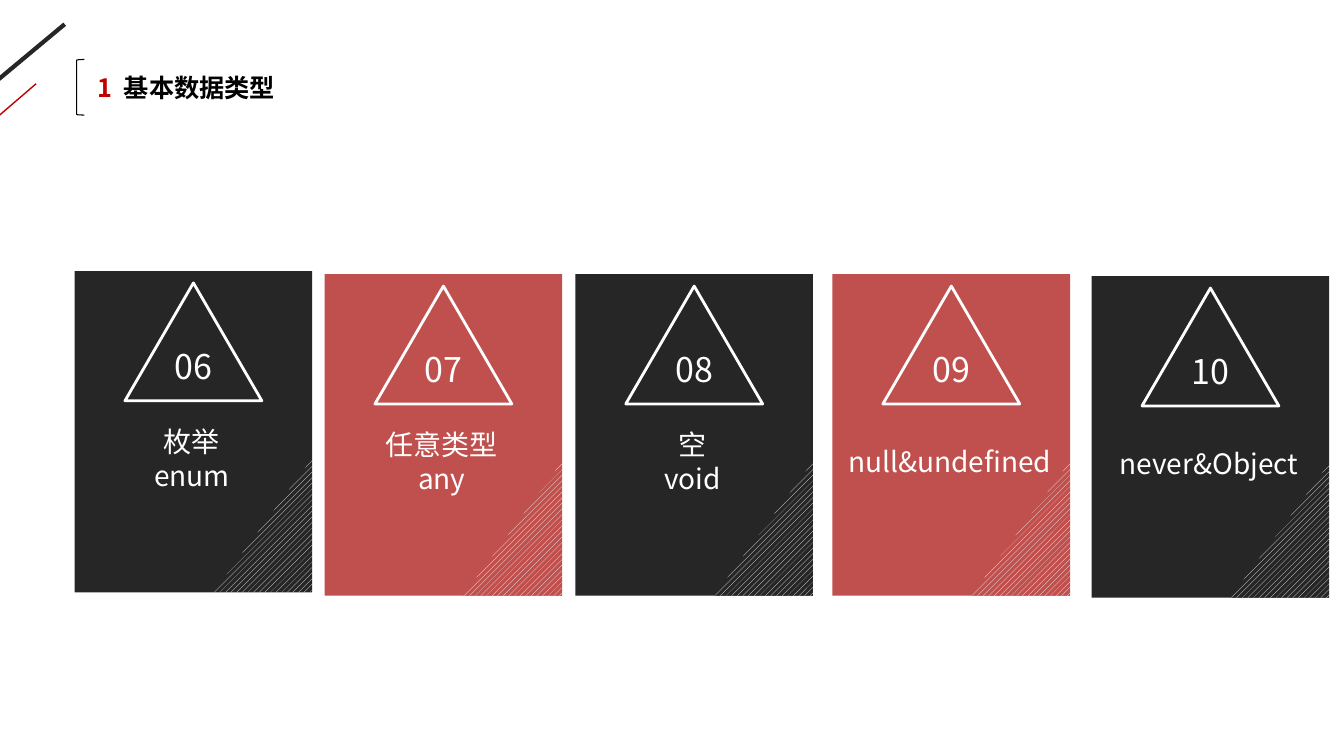
from dataclasses import dataclass

from lxml import etree
from pptx import Presentation
from pptx import util as u
from pptx.dml.color import RGBColor
from pptx.enum import dml, shapes, text
from pptx.oxml.ns import qn

FONT = "Noto Sans CJK SC"
DARK, CORAL, RED, WHITE, BLACK = "262626", "C0504D", "C00000", "FFFFFF", "000000"

# Card measures in cm; part offsets are relative to the card corner
CARD_WIDTH, CARD_HEIGHT = 5.99, 8.1
HATCH_WIDTH, HATCH_HEIGHT = 2.49, 3.38
TRIANGLE_WIDTH, TRIANGLE_HEIGHT, TRIANGLE_DROP = 3.45, 2.97, 0.3
LABEL_SHIFT, LABEL_DROP, LABEL_HEIGHT = -0.04, 3.61, 2.21


@dataclass
class Card:
    number: str
    lines: list[str]
    left: float
    top: float
    color: str


@dataclass
class Stroke:
    start: tuple[float, float]
    end: tuple[float, float]
    color: str
    width: float


CARDS = [
    Card("06", ["枚举", "enum"], 1.88, 6.83, DARK),
    Card("07", ["任意类型", "any"], 8.18, 6.91, CORAL),
    Card("08", ["空", "void"], 14.5, 6.91, DARK),
    Card("09", ["null&undefined"], 20.98, 6.91, CORAL),
    Card("10", ["never&Object"], 27.51, 6.96, DARK),
]
STROKES = [
    Stroke((1.63, 0.61), (-0.53, 2.41), DARK, 3),
    Stroke((0.91, 2.11), (-0.15, 3.02), RED, 1),
]


def rgb(color: str) -> RGBColor:
    return RGBColor.from_string(color)


def box(left: float, top: float, width: float, height: float) -> tuple:
    return u.Cm(left), u.Cm(top), u.Cm(width), u.Cm(height)


def add_run(paragraph, words: str, size: float, color: str, bold: bool = False):
    run = paragraph.add_run()
    run.text = words
    run.font.size = u.Pt(size)
    run.font.bold = bold
    run.font.name = FONT
    run.font.color.rgb = rgb(color)
    properties = run._r.get_or_add_rPr()
    etree.SubElement(properties, qn("a:ea")).set("typeface", FONT)
    return run


def add_plain_shape(parent, kind, area: tuple, fill: str | None = None,
                    line: str | None = None, line_width: float = 1):
    shape = parent.add_shape(kind, *area)
    shape.shadow.inherit = False
    if fill:
        shape.fill.solid()
        shape.fill.fore_color.rgb = rgb(fill)
    else:
        shape.fill.background()
    if line:
        shape.line.color.rgb = rgb(line)
        shape.line.width = u.Pt(line_width)
    else:
        shape.line.fill.background()
    return shape


def add_stroke(slide, stroke: Stroke) -> None:
    points = [u.Cm(value) for value in (*stroke.start, *stroke.end)]
    connector = slide.shapes.add_connector(shapes.MSO_CONNECTOR.STRAIGHT, *points)
    connector.line.color.rgb = rgb(stroke.color)
    connector.line.width = u.Pt(stroke.width)
    etree.SubElement(connector._element.spPr, qn("a:effectLst"))


def add_title(slide) -> None:
    title = slide.shapes.add_textbox(*box(2.21, 1.7, 5.13, 1.02))
    title.text_frame.word_wrap = False
    title.text_frame.auto_size = text.MSO_AUTO_SIZE.SHAPE_TO_FIT_TEXT
    paragraph = title.text_frame.paragraphs[0]
    number = add_run(paragraph, "1 ", 18, RED, bold=True)
    number._r.get_or_add_rPr().set("spc", "200")  # widens the gap after the number
    add_run(paragraph, "基本数据类型", 18, BLACK, bold=True)
    add_plain_shape(slide.shapes, shapes.MSO_SHAPE.LEFT_BRACKET,
                    box(1.93, 1.5, 0.2, 1.4), line=BLACK, line_width=0.75)


def add_card(slide, card: Card) -> None:
    parts = slide.shapes.add_group_shape().shapes
    add_plain_shape(parts, shapes.MSO_SHAPE.RECTANGLE,
                    box(card.left, card.top, CARD_WIDTH, CARD_HEIGHT), fill=card.color)

    # Hatched corner, flush with the bottom right
    hatch = add_plain_shape(
        parts, shapes.MSO_SHAPE.RIGHT_TRIANGLE,
        box(card.left + CARD_WIDTH - HATCH_WIDTH, card.top + CARD_HEIGHT - HATCH_HEIGHT,
            HATCH_WIDTH, HATCH_HEIGHT))
    hatch.fill.patterned()
    hatch.fill.pattern = dml.MSO_PATTERN.WIDE_UPWARD_DIAGONAL
    hatch.fill.fore_color.rgb = rgb(WHITE)
    hatch.fill.back_color.rgb = rgb(card.color)
    hatch._element.spPr.find(qn("a:xfrm")).set("flipH", "1")

    # Numbered triangle, centred across the card
    triangle = add_plain_shape(
        parts, shapes.MSO_SHAPE.ISOSCELES_TRIANGLE,
        box(card.left + (CARD_WIDTH - TRIANGLE_WIDTH) / 2, card.top + TRIANGLE_DROP,
            TRIANGLE_WIDTH, TRIANGLE_HEIGHT), line=WHITE, line_width=2)
    frame = triangle.text_frame
    frame.vertical_anchor = text.MSO_ANCHOR.MIDDLE
    frame.margin_bottom = u.Cm(0.41)
    frame.paragraphs[0].alignment = text.PP_ALIGN.CENTER
    add_run(frame.paragraphs[0], card.number, 24.3, WHITE)

    # Type name
    label = parts.add_textbox(*box(card.left + LABEL_SHIFT, card.top + LABEL_DROP,
                                   CARD_WIDTH, LABEL_HEIGHT))
    frame = label.text_frame
    frame.word_wrap = True
    frame.vertical_anchor = text.MSO_ANCHOR.MIDDLE
    for index, words in enumerate(card.lines):
        paragraph = frame.add_paragraph() if index else frame.paragraphs[0]
        paragraph.alignment = text.PP_ALIGN.CENTER
        add_run(paragraph, words, 20, WHITE)


def main() -> None:
    presentation = Presentation()
    presentation.slide_width = u.Cm(33.87)
    presentation.slide_height = u.Cm(19.05)
    slide = presentation.slides.add_slide(presentation.slide_layouts[6])
    for stroke in STROKES:
        add_stroke(slide, stroke)
    add_title(slide)
    for card in CARDS:
        add_card(slide, card)
    presentation.save("out.pptx")


if __name__ == "__main__":
    main()
